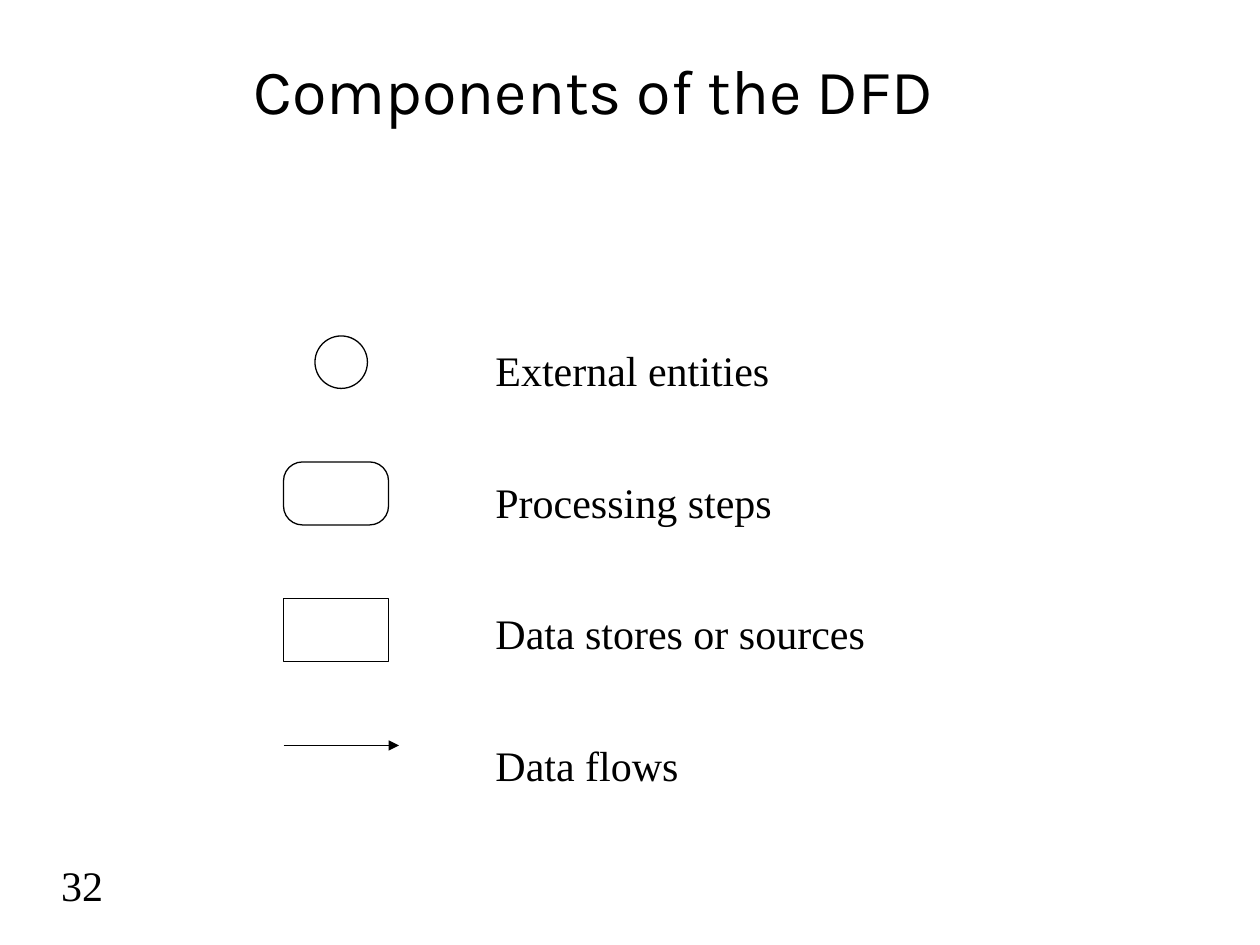
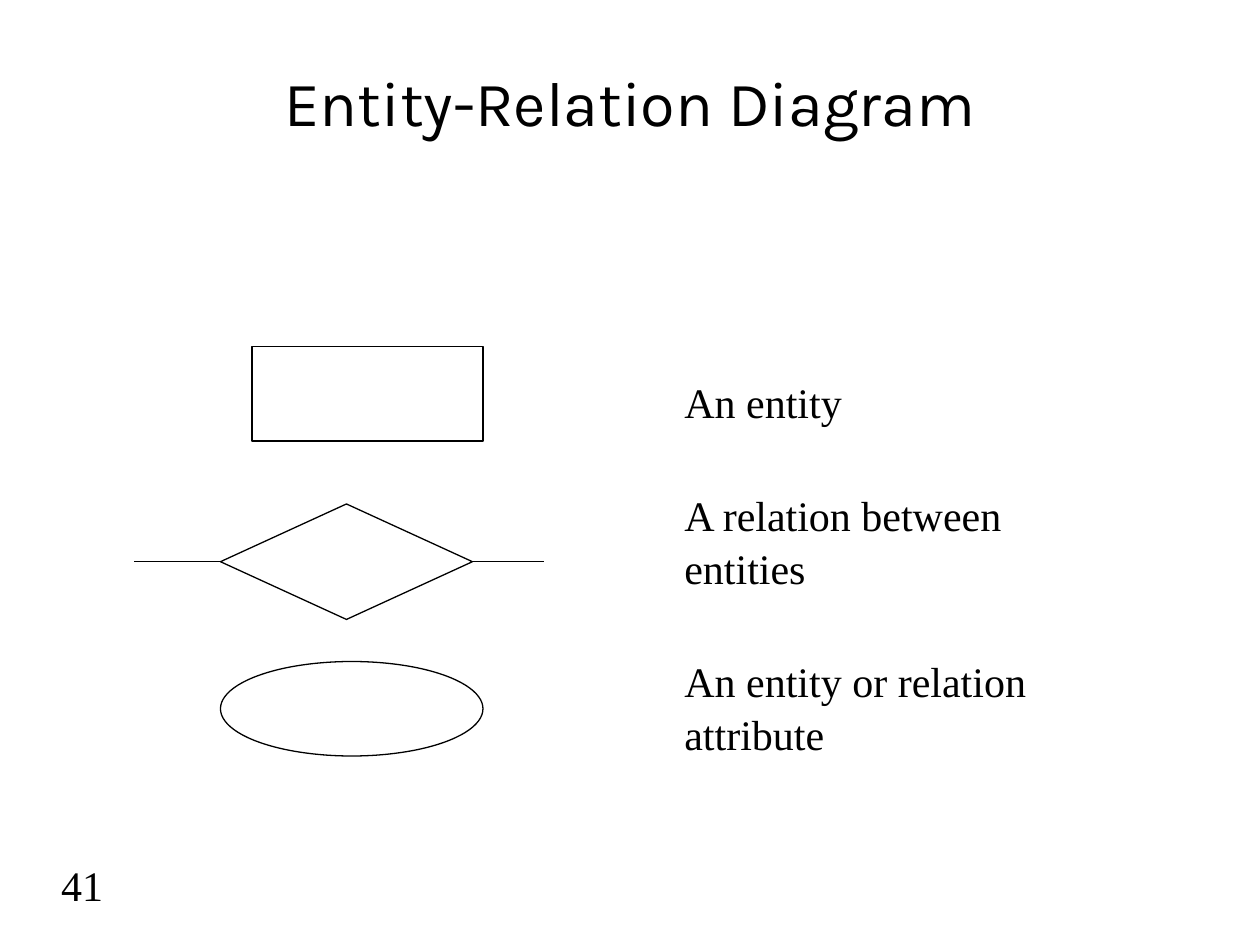
from lxml import etree
from pptx import Presentation
from pptx.dml.color import RGBColor
from pptx.enum.shapes import MSO_CONNECTOR, MSO_SHAPE
from pptx.enum.text import MSO_ANCHOR, PP_ALIGN
from pptx.oxml.ns import qn
from pptx.util import Pt

PX = 7620  # 120 px to the inch
INK, PAPER = "000000", "FFFFFF"
LEFT, MID, RIGHT = PP_ALIGN.LEFT, PP_ALIGN.CENTER, PP_ALIGN.RIGHT
TOP, CENTRE = MSO_ANCHOR.TOP, MSO_ANCHOR.MIDDLE
RING = MSO_SHAPE.FLOWCHART_CONNECTOR
ROUND = MSO_SHAPE.ROUNDED_RECTANGLE
STEP = MSO_SHAPE.FLOWCHART_PROCESS
RECT = MSO_SHAPE.RECTANGLE
OVAL = MSO_SHAPE.OVAL
RHOMB = MSO_SHAPE.FLOWCHART_DECISION
STRAIGHT = MSO_CONNECTOR.STRAIGHT

HEAD = {"name": "Karla", "size": Pt(36)}
BODY = {"name": "Times New Roman", "size": Pt(24)}


def color(code):
    return RGBColor.from_string(code)


def write(slide, box, lines, style, align=LEFT, anchor=TOP, gap=0):
    """Add a text box with one paragraph a line, gap points apart."""
    frame = slide.shapes.add_textbox(*[n * PX for n in box]).text_frame
    frame.word_wrap = True
    frame.vertical_anchor = anchor
    for i, line in enumerate(lines):
        para = frame.add_paragraph() if i else frame.paragraphs[0]
        para.alignment = align
        para.line_spacing = 1.05
        if i:
            para.space_before = Pt(gap)
        run = para.add_run()
        run.text = line
        run.font.color.rgb = color(INK)
        for key, value in style.items():
            setattr(run.font, key, value)


# Each symbol is (kind, box, fill); a line's box is its two ends.
pages = [
    {
        "title": "Components of the DFD",
        "place": ((230, 40, 700, 156), LEFT, TOP),
        "symbols": [
            (RING, (300, 320, 50, 50), None),
            (ROUND, (270, 440, 100, 60), None),
            (STEP, (270, 570, 100, 60), None),
            ("arrow", (270, 710, 380, 710), None),
        ],
        "labels": ["External entities", "Processing steps",
                   "Data stores or sources", "Data flows"],
        "area": (460, 320, 700, 430),
        "gap": 45,
        "number": "32",
    },
    {
        "title": "Entity-Relation Diagram",
        "place": ((90, 20, 1020, 150), MID, CENTRE),
        "symbols": [
            (RECT, (240, 330, 220, 90), None),
            (OVAL, (210, 630, 250, 90), None),
            ("line", (128, 535, 518, 535), None),
            (RHOMB, (210, 480, 240, 110), PAPER),
        ],
        "labels": ["An entity", "A relation between entities",
                   "An entity or relation attribute"],
        "area": (640, 350, 370, 367),
        "gap": 34.5,
        "number": "41",
    },
]

deck = Presentation()
deck.slide_width, deck.slide_height = 1200 * PX, 900 * PX

for page in pages:
    slide = deck.slides.add_slide(deck.slide_layouts[6])
    box, align, anchor = page["place"]
    write(slide, box, [page["title"]], HEAD, align, anchor)

    for kind, box, fill in page["symbols"]:
        spot = [n * PX for n in box]
        if kind in ("line", "arrow"):
            item = slide.shapes.add_connector(STRAIGHT, *spot)
            etree.SubElement(item._element.spPr, qn("a:effectLst"))
        else:
            item = slide.shapes.add_shape(kind, *spot)
            item.shadow.inherit = False
            if fill:
                item.fill.solid()
                item.fill.fore_color.rgb = color(fill)
            else:
                item.fill.background()
        item.line.color.rgb = color(INK)
        item.line.width = Pt(0.75)
        if kind == ROUND:
            item.adjustments[0] = 0.3
        if kind == "arrow":
            etree.SubElement(item.line._get_or_add_ln(), qn("a:tailEnd"), type="triangle")

    write(slide, page["area"], page["labels"], BODY, gap=page["gap"])
    write(slide, (20, 810, 90, 60), [page["number"]], BODY, RIGHT)

deck.save("out.pptx")
